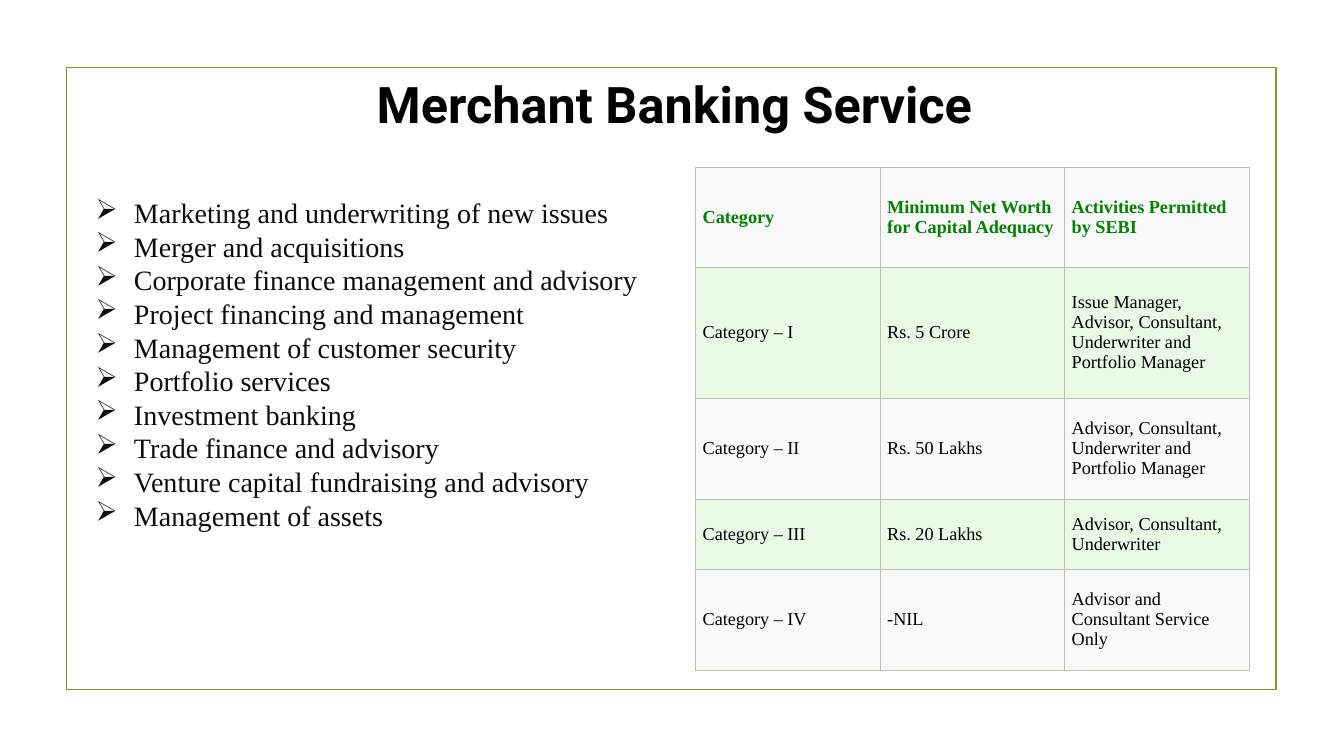
from lxml import etree
from pptx import Presentation
from pptx.dml.color import RGBColor
from pptx.enum.shapes import MSO_SHAPE
from pptx.enum.text import MSO_ANCHOR, PP_ALIGN
from pptx.oxml.ns import qn
from pptx.util import Inches, Pt

RECTANGLE = MSO_SHAPE.RECTANGLE
MIDDLE = MSO_ANCHOR.MIDDLE
CENTER = PP_ALIGN.CENTER

OLIVE = RGBColor(0x83, 0x99, 0x2A)
BLACK = RGBColor(0x00, 0x00, 0x00)
INK = RGBColor(0x0D, 0x0D, 0x0D)
GREEN = RGBColor(0x00, 0x80, 0x00)
PALE_GREY = RGBColor(0xF9, 0xF9, 0xF9)
PALE_GREEN = RGBColor(0xE9, 0xFB, 0xE5)
GRID = RGBColor(0xC0, 0xC0, 0xB0)

HEADING_FONT = "Roboto"
BODY_FONT = "Times New Roman"

SERVICES = [
    "Marketing and underwriting of new issues",
    "Merger and acquisitions",
    "Corporate finance management and advisory",
    "Project financing and management",
    "Management of customer security",
    "Portfolio services",
    "Investment banking",
    "Trade finance and advisory",
    "Venture capital fundraising and advisory",
    "Management of assets",
]
CATEGORIES = [
    ("Category", "Minimum Net Worth for Capital Adequacy", "Activities Permitted by SEBI"),
    ("Category – I", "Rs. 5 Crore",
     "Issue Manager, Advisor, Consultant, Underwriter and Portfolio Manager"),
    ("Category – II", "Rs. 50 Lakhs",
     "Advisor, Consultant, Underwriter and Portfolio Manager"),
    ("Category – III", "Rs. 20 Lakhs", "Advisor, Consultant, Underwriter"),
    ("Category – IV", "-NIL", "Advisor and Consultant Service Only"),
]
ROW_HEIGHTS = [0.99, 1.3, 1, 0.7, 1]
COLUMN_WIDTH = 1.83


def add_run(paragraph, text, font, size, color, bold=False):
    run = paragraph.add_run()
    run.text = text
    run.font.name = font
    run.font.size = Pt(size)
    run.font.bold = bold
    run.font.color.rgb = color


def add_frame(slide):
    frame = slide.shapes.add_shape(
        RECTANGLE, Inches(0.66), Inches(0.67), Inches(12), Inches(6.17))
    frame.shadow.inherit = False
    frame.fill.background()
    frame.line.color.rgb = OLIVE
    frame.line.width = Pt(1.25)


def set_bullet(paragraph, symbol):
    properties = paragraph._p.get_or_add_pPr()
    properties.set("marL", str(Inches(0.38)))
    properties.set("indent", str(-Inches(0.38)))
    etree.SubElement(properties, qn("a:buChar")).set("char", symbol)


def add_services(slide):
    content = slide.shapes.add_textbox(
        Inches(0.85), Inches(0.68), Inches(11.68), Inches(4.98)).text_frame
    content.word_wrap = True

    heading = content.paragraphs[0]
    heading.alignment = CENTER
    heading.space_after = Pt(44)
    add_run(heading, "Merchant Banking Service", HEADING_FONT, 36, BLACK, bold=True)

    for service in SERVICES:
        item = content.add_paragraph()
        item.line_spacing = Pt(24)
        set_bullet(item, "➢")
        add_run(item, service, BODY_FONT, 20, INK)


def set_borders(cell):
    properties = cell._tc.get_or_add_tcPr()
    for position, side in enumerate(("a:lnL", "a:lnR", "a:lnT", "a:lnB")):
        border = etree.Element(qn(side), w=str(Pt(0.6)))
        fill = etree.SubElement(border, qn("a:solidFill"))
        etree.SubElement(fill, qn("a:srgbClr")).set("val", str(GRID))
        properties.insert(position, border)


def fill_cell(cell, text, color, bold, background):
    cell.fill.solid()
    cell.fill.fore_color.rgb = background
    cell.vertical_anchor = MIDDLE
    cell.margin_left = cell.margin_right = Inches(0.07)
    cell.margin_top = cell.margin_bottom = Inches(0.04)
    paragraph = cell.text_frame.paragraphs[0]
    paragraph.line_spacing = Pt(14.3)
    add_run(paragraph, text, BODY_FONT, 13, color, bold)
    set_borders(cell)


def add_category_table(slide):
    column_count = len(CATEGORIES[0])
    table = slide.shapes.add_table(
        len(CATEGORIES), column_count, Inches(6.9), Inches(1.66),
        Inches(COLUMN_WIDTH * column_count), Inches(sum(ROW_HEIGHTS))).table
    for column in table.columns:
        column.width = Inches(COLUMN_WIDTH)
    for r, (height, texts) in enumerate(zip(ROW_HEIGHTS, CATEGORIES)):
        table.rows[r].height = Inches(height)
        is_header = r == 0
        color = GREEN if is_header else BLACK
        background = PALE_GREEN if r % 2 else PALE_GREY
        for c, text in enumerate(texts):
            fill_cell(table.cell(r, c), text, color, is_header, background)


def main():
    deck = Presentation()
    deck.slide_width = Inches(13.33)
    deck.slide_height = Inches(7.5)
    slide = deck.slides.add_slide(deck.slide_layouts[6])

    # Border around the slide
    add_frame(slide)
    # Heading and list of services
    add_services(slide)
    # Categories of merchant bankers
    add_category_table(slide)

    deck.save("out.pptx")


if __name__ == "__main__":
    main()
